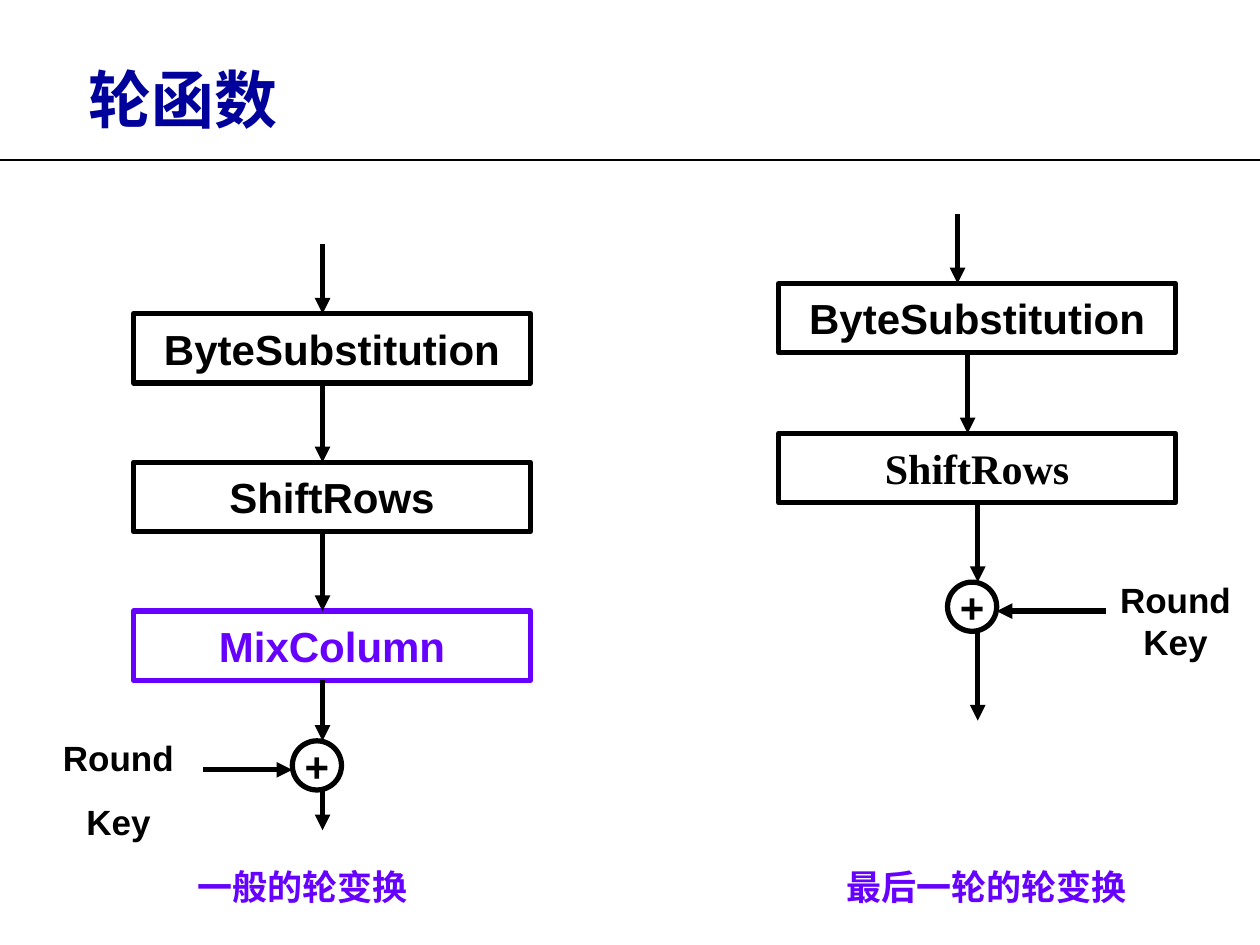
import pptx
import pptx.util
import pptx.dml.color
import pptx.enum.shapes
import pptx.enum.text
import pptx.oxml
import pptx.oxml.ns
from dataclasses import dataclass

Inches = pptx.util.Inches
Pt = pptx.util.Pt
Shape = pptx.enum.shapes.MSO_SHAPE
Anchor = pptx.enum.text.MSO_ANCHOR


@dataclass
class Theme:
    ink: str = "000000"
    navy: str = "00009A"
    violet: str = "6600FF"
    paper: str = "FFFFFF"
    font: str = "Arial"
    serif: str = "Times New Roman"
    title: int = 36
    step: int = 24
    label: int = 20
    rule: float = 1.5
    thick: float = 3


def color(code):
    return pptx.dml.color.RGBColor.from_string(code)


def write(frame, text, *, size, ink, font, gap=0, wrap=True, anchor=Anchor.TOP):
    frame.word_wrap = wrap
    frame.vertical_anchor = anchor
    for i, line in enumerate(text.split("\n")):
        para = frame.paragraphs[0] if i == 0 else frame.add_paragraph()
        para.alignment = pptx.enum.text.PP_ALIGN.CENTER
        if i and gap:
            para.space_before = Pt(gap)
        run = para.add_run()
        run.text = line
        run.font.name = font
        run.font.size = Pt(size)
        run.font.bold = True
        run.font.color.rgb = color(ink)


class Deck:
    def __init__(self, theme):
        self.theme = theme
        self.prs = pptx.Presentation()
        self.prs.slide_width = Inches(10)
        self.prs.slide_height = Inches(7.5)
        self.slide = self.prs.slides.add_slide(self.prs.slide_layouts[6])

    def label(self, text, x, y, w, h, size=None, ink=None, gap=0):
        box = self.slide.shapes.add_textbox(Inches(x), Inches(y), Inches(w), Inches(h))
        write(box.text_frame, text, size=size or self.theme.label,
              ink=ink or self.theme.ink, font=self.theme.font, gap=gap)

    def node(self, kind, text, x, y, w, h, ink=None, font=None):
        ink = ink or self.theme.ink
        item = self.slide.shapes.add_shape(kind, Inches(x), Inches(y), Inches(w), Inches(h))
        item.shadow.inherit = False
        item.fill.solid()
        item.fill.fore_color.rgb = color(self.theme.paper)
        item.line.color.rgb = color(ink)
        item.line.width = Pt(self.theme.thick)
        write(item.text_frame, text, size=self.theme.step, ink=ink,
              font=font or self.theme.font, wrap=False, anchor=Anchor.MIDDLE)

    def step(self, text, x, y, **style):
        self.node(Shape.RECTANGLE, text, x, y, 3.15, 0.55, **style)

    def plus(self, x, y):
        self.node(Shape.OVAL, "+", x, y, 0.39, 0.39)

    def line(self, x1, y1, x2, y2, width):
        item = self.slide.shapes.add_connector(
            pptx.enum.shapes.MSO_CONNECTOR.STRAIGHT,
            Inches(x1), Inches(y1), Inches(x2), Inches(y2))
        item.line.color.rgb = color(self.theme.ink)
        item.line.width = Pt(width)
        props = item._element.spPr
        props.append(pptx.oxml.parse_xml(
            f"<a:effectLst {pptx.oxml.ns.nsdecls('a')}/>"))
        return item

    def arrow(self, x1, y1, x2, y2):
        item = self.line(x1, y1, x2, y2, self.theme.thick)
        item.line._get_or_add_ln().append(pptx.oxml.parse_xml(
            f"<a:tailEnd {pptx.oxml.ns.nsdecls('a')} type='triangle'/>"))


def main():
    theme = Theme()
    deck = Deck(theme)

    # Title and rule
    deck.line(10, 1.27, 0, 1.27, theme.rule)
    deck.label("轮函数", 0.35, 0.43, 2.2, 0.7, size=theme.title, ink=theme.navy)

    # General round
    steps = [("ByteSubstitution", theme.ink), ("ShiftRows", theme.ink),
             ("MixColumn", theme.violet)]
    for i, (name, ink) in enumerate(steps):
        deck.step(name, 1.06, 2.49 + 1.18 * i, ink=ink)
    deck.plus(2.32, 5.88)
    for top, end in [(1.94, 2.49), (3.04, 3.67), (4.22, 4.85), (5.4, 5.88), (6.27, 6.59)]:
        deck.arrow(2.56, top, 2.56, end)
    deck.arrow(1.61, 6.11, 2.32, 6.11)
    deck.label("Round\nKey", 0.27, 5.8, 1.34, 0.94, gap=12.5)
    deck.label("一般的轮变换", 0.59, 6.82, 3.62, 0.44, ink=theme.violet)

    # Final round
    deck.step("ByteSubstitution", 6.18, 2.25)
    deck.step("ShiftRows", 6.18, 3.44, font=theme.serif)
    deck.plus(7.52, 4.62)
    for x, top, end in [(7.6, 1.7, 2.25), (7.68, 2.81, 3.44),
                        (7.76, 3.99, 4.62), (7.76, 5.01, 5.72)]:
        deck.arrow(x, top, x, end)
    deck.arrow(8.78, 4.85, 7.91, 4.85)
    deck.label("Round\nKey", 8.66, 4.54, 1.34, 0.77)
    deck.label("最后一轮的轮变换", 6.02, 6.82, 3.62, 0.44, ink=theme.violet)

    deck.prs.save("out.pptx")


if __name__ == "__main__":
    main()
